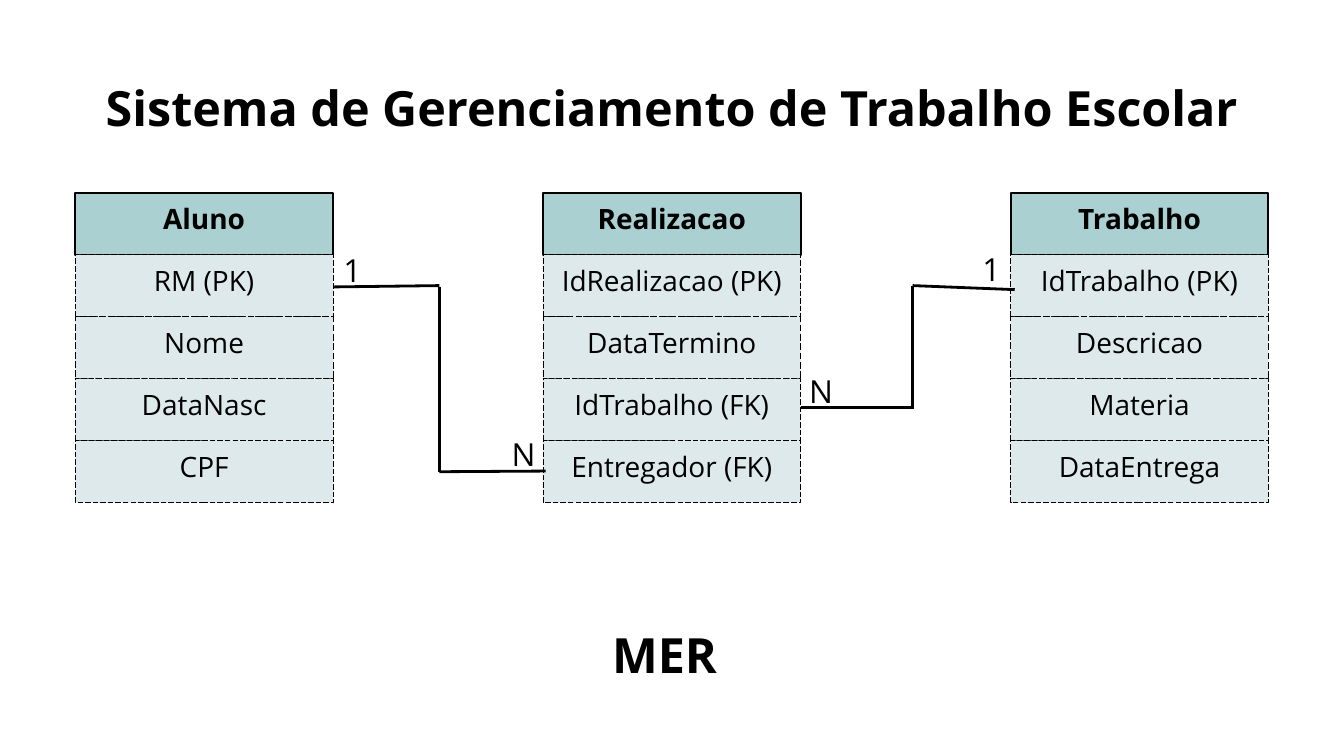
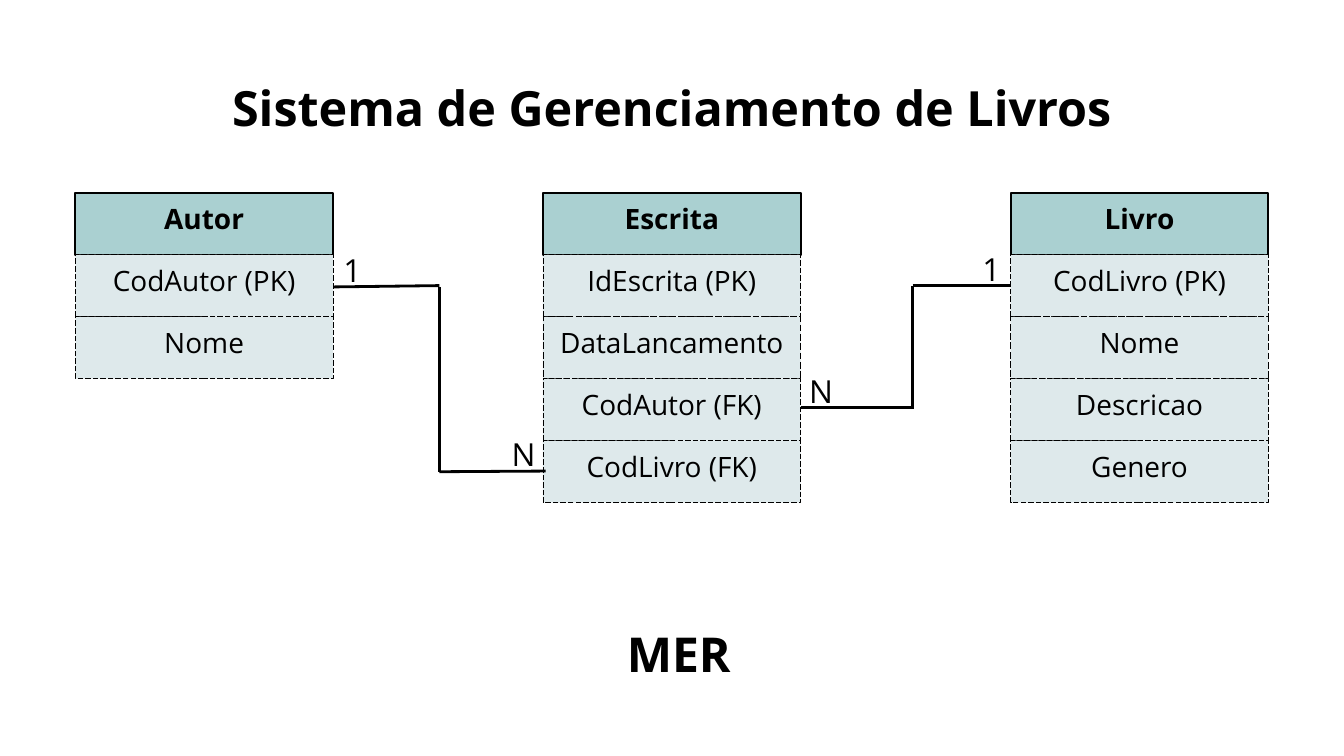
import pptx
import pptx.util
import pptx.dml.color
import pptx.enum.dml
import pptx.enum.shapes
import pptx.enum.text
import pptx.oxml.ns
import lxml.etree

Inches = pptx.util.Inches
Pt = pptx.util.Pt

FONT = "Open Sans"
BLACK, HEADER, FIELD = "000000", "AAD0D1", "DEE9EB"
LEFT, TOP = 1.12, 2.87
CELL_WIDTH, CELL_HEIGHT, COLUMN_STEP = 3.835, 0.922, 6.96
TEXT_RISE, CELL_MARGIN = 0.24, 0.06
LINE_SPACING = 1.4

CELL_TEXT = {"size": 30}
CARDINALITY_TEXT = {"size": 34}
TITLE_TEXT = {"size": 52, "bold": True}

DIAGRAMS = [
    {
        "title": "Sistema de Gerenciamento de Trabalho Escolar",
        "title_width": 16.93,
        "entities": [
            ("Aluno", ["RM (PK)", "Nome", "DataNasc", "CPF"]),
            ("Realizacao", ["IdRealizacao (PK)", "DataTermino", "IdTrabalho (FK)", "Entregador (FK)"]),
            ("Trabalho", ["IdTrabalho (PK)", "Descricao", "Materia", "DataEntrega"]),
        ],
        "right_end": (15.1, 4.31),
        "caption": (9, 1.78, 52),
    },
    {
        "title": "Sistema de Gerenciamento de Livros",
        "title_width": 13.13,
        "entities": [
            ("Autor", ["CodAutor (PK)", "Nome"]),
            ("Escrita", ["IdEscrita (PK)", "DataLancamento", "CodAutor (FK)", "CodLivro (FK)"]),
            ("Livro", ["CodLivro (PK)", "Nome", "Descricao", "Genero"]),
        ],
        "right_end": (15.04, 4.25),
        "caption": (9.29, 1.62, 51.5),
    },
]

SHARED_SEGMENTS = [
    ((4.96, 4.27), (6.54, 4.25)),
    ((6.54, 4.27), (6.54, 7.02)),
    ((6.54, 7.02), (8.12, 7.01)),
    ((13.58, 4.25), (13.58, 6.09)),
    ((11.92, 6.07), (13.58, 6.07)),
]
RIGHT_START = (13.58, 4.25)

CARDINALITIES = [
    ("N", 7.61, 6.38, 0.36),
    ("N", 12.04, 5.44, 0.36),
    ("1", 5.11, 3.64, 0.27),
    ("1", 14.62, 3.62, 0.27),
]


def color(value):
    return pptx.dml.color.RGBColor.from_string(value)


def style_line(line, width, dash=None):
    line.color.rgb = color(BLACK)
    line.width = Pt(width)
    if dash:
        line.dash_style = dash


def add_text(shapes, text, left, top, width, height, text_format, margin=0, in_cell=False):
    box = shapes.add_textbox(Inches(left), Inches(top), Inches(width), Inches(height))
    frame = box.text_frame
    anchor = pptx.enum.text.MSO_ANCHOR
    fit = pptx.enum.text.MSO_AUTO_SIZE
    frame_format = {
        "word_wrap": True,
        "auto_size": fit.NONE if in_cell else fit.SHAPE_TO_FIT_TEXT,
        "vertical_anchor": anchor.MIDDLE if in_cell else anchor.TOP,
    }
    for side in ("left", "right", "top", "bottom"):
        frame_format["margin_" + side] = Inches(margin)
    for name, value in frame_format.items():
        setattr(frame, name, value)
    para = frame.paragraphs[0]
    para.alignment = pptx.enum.text.PP_ALIGN.CENTER
    para.line_spacing = Pt(text_format["size"] * LINE_SPACING)
    span = para.add_run()
    span.text = text
    font_format = {"name": FONT, "bold": False, **text_format}
    font_format["size"] = Pt(text_format["size"])
    for name, value in font_format.items():
        setattr(span.font, name, value)
    span.font.color.rgb = color(BLACK)


def add_cell(page, text, left, top, fill, width, dash, text_format):
    group = page.shapes.add_group_shape()
    cell = group.shapes.add_shape(
        pptx.enum.shapes.MSO_SHAPE.RECTANGLE,
        Inches(left), Inches(top), Inches(CELL_WIDTH), Inches(CELL_HEIGHT))
    cell.shadow.inherit = False
    cell.fill.solid()
    cell.fill.fore_color.rgb = color(fill)
    style_line(cell.line, width, dash)
    add_text(group.shapes, text, left, top - TEXT_RISE, CELL_WIDTH,
             CELL_HEIGHT + TEXT_RISE, text_format, CELL_MARGIN, True)


def add_entity(page, column, name, fields):
    left = LEFT + column * COLUMN_STEP
    add_cell(page, name, left, TOP, HEADER, 2.25, None, {**CELL_TEXT, "bold": True})
    for row, field in enumerate(fields, 1):
        width = 0.9 if row == 2 and row < len(fields) else 0.75
        add_cell(page, field, left, TOP + row * CELL_HEIGHT, FIELD, width,
                 pptx.enum.dml.MSO_LINE.LONG_DASH, CELL_TEXT)


def add_segment(page, start, end):
    segment = page.shapes.add_connector(
        pptx.enum.shapes.MSO_CONNECTOR.STRAIGHT,
        *(Inches(value) for value in start + end))
    style_line(segment.line, 3)
    properties = segment._element.spPr
    lxml.etree.SubElement(properties, pptx.oxml.ns.qn("a:effectLst"))


def add_diagram(deck, diagram):
    page = deck.slides.add_slide(deck.slide_layouts[6])
    page.background.fill.solid()
    page.background.fill.fore_color.rgb = color("FFFFFF")
    for column in (0, 2, 1):
        add_entity(page, column, *diagram["entities"][column])
    for start, end in SHARED_SEGMENTS + [(RIGHT_START, diagram["right_end"])]:
        add_segment(page, start, end)
    for text, left, top, width in CARDINALITIES:
        add_text(page.shapes, text, left, top, width, 0.63, CARDINALITY_TEXT)
    title_width = diagram["title_width"]
    add_text(page.shapes, diagram["title"], (20 - title_width) / 2, 1.02,
             title_width, 0.97, TITLE_TEXT)
    left, width, size = diagram["caption"]
    add_text(page.shapes, "MER", left, 9.15, width, 0.97, {**TITLE_TEXT, "size": size})


def main():
    deck = pptx.Presentation()
    deck.slide_width, deck.slide_height = Inches(20), Inches(11.25)
    for diagram in DIAGRAMS:
        add_diagram(deck, diagram)
    deck.save("out.pptx")


if __name__ == "__main__":
    main()
